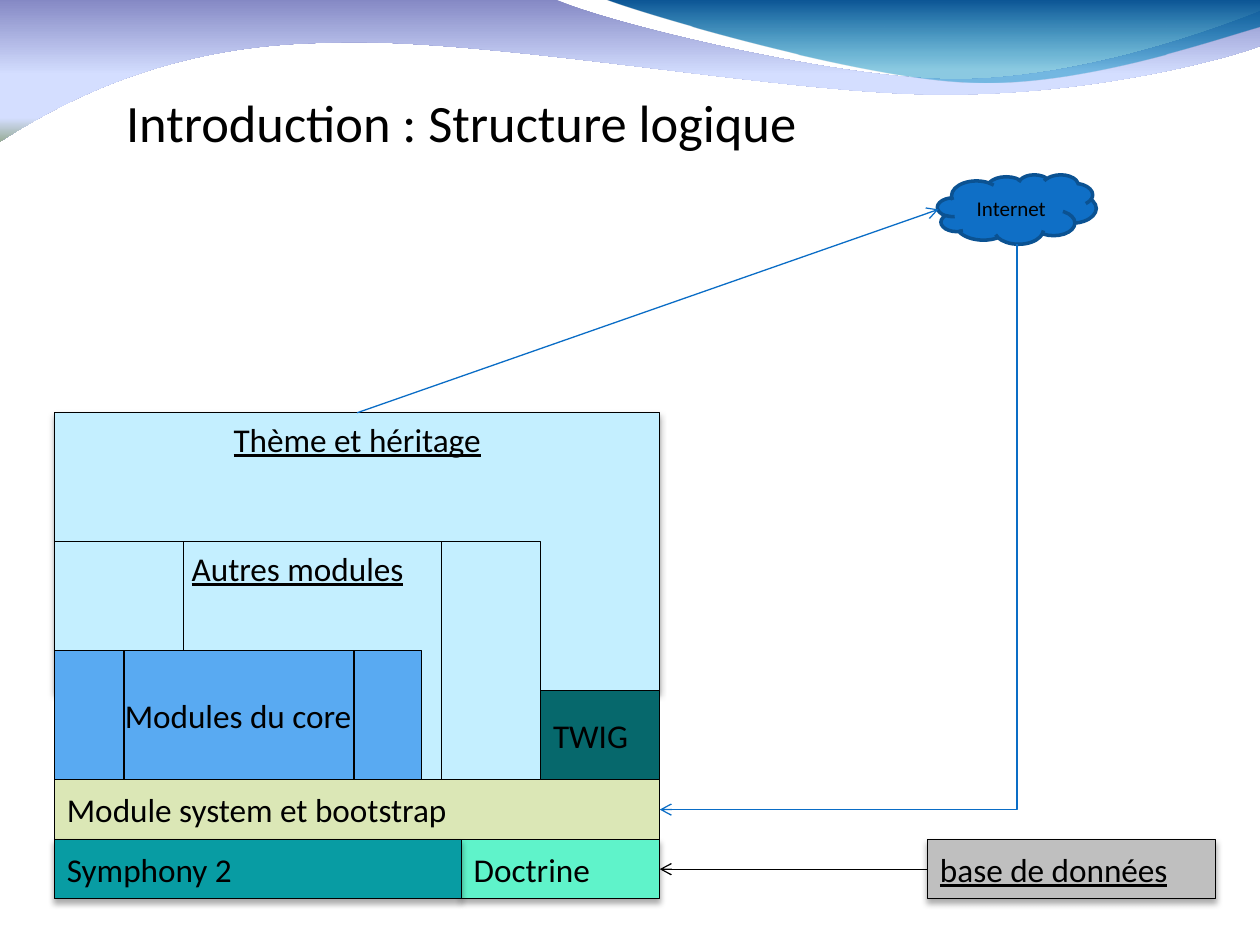
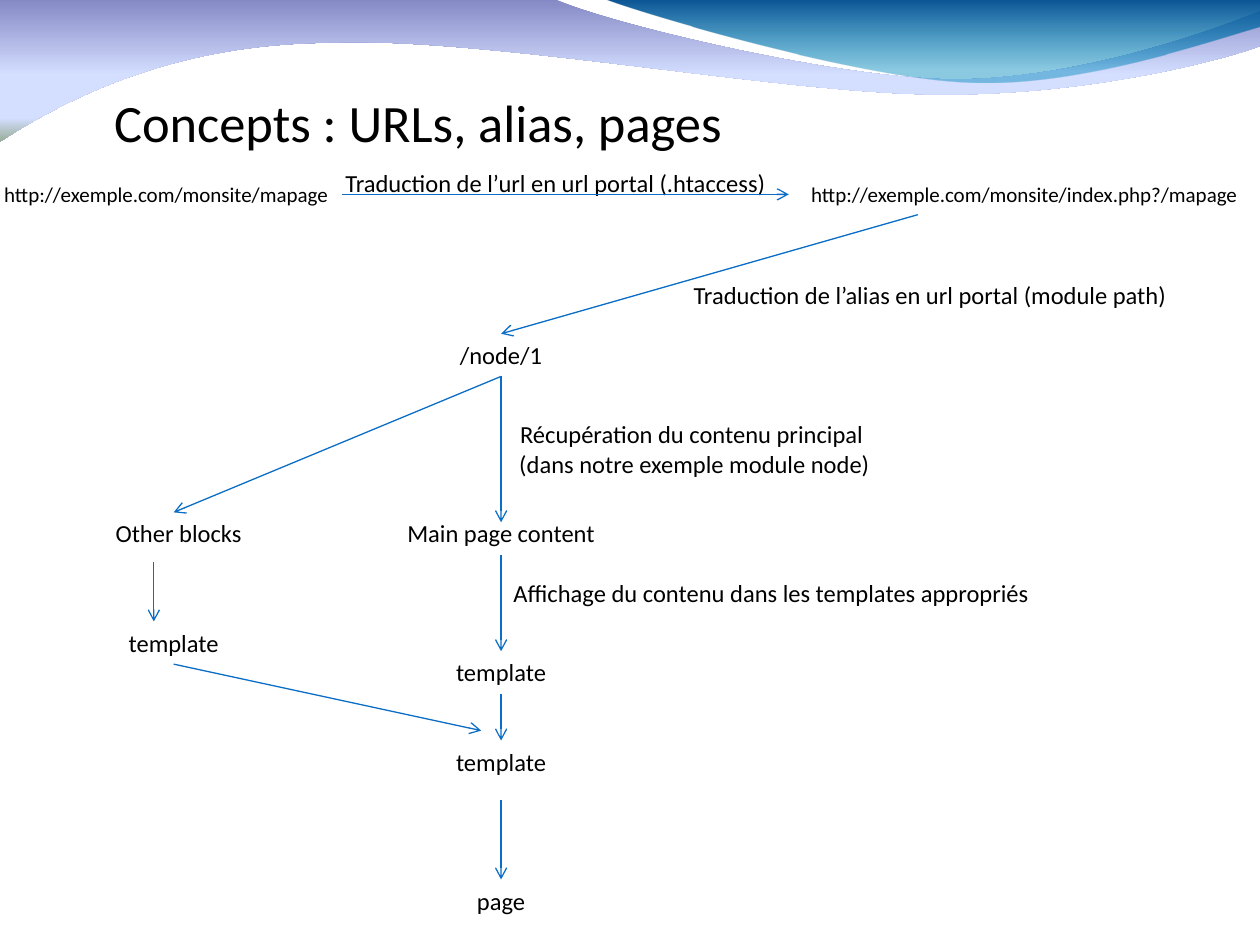
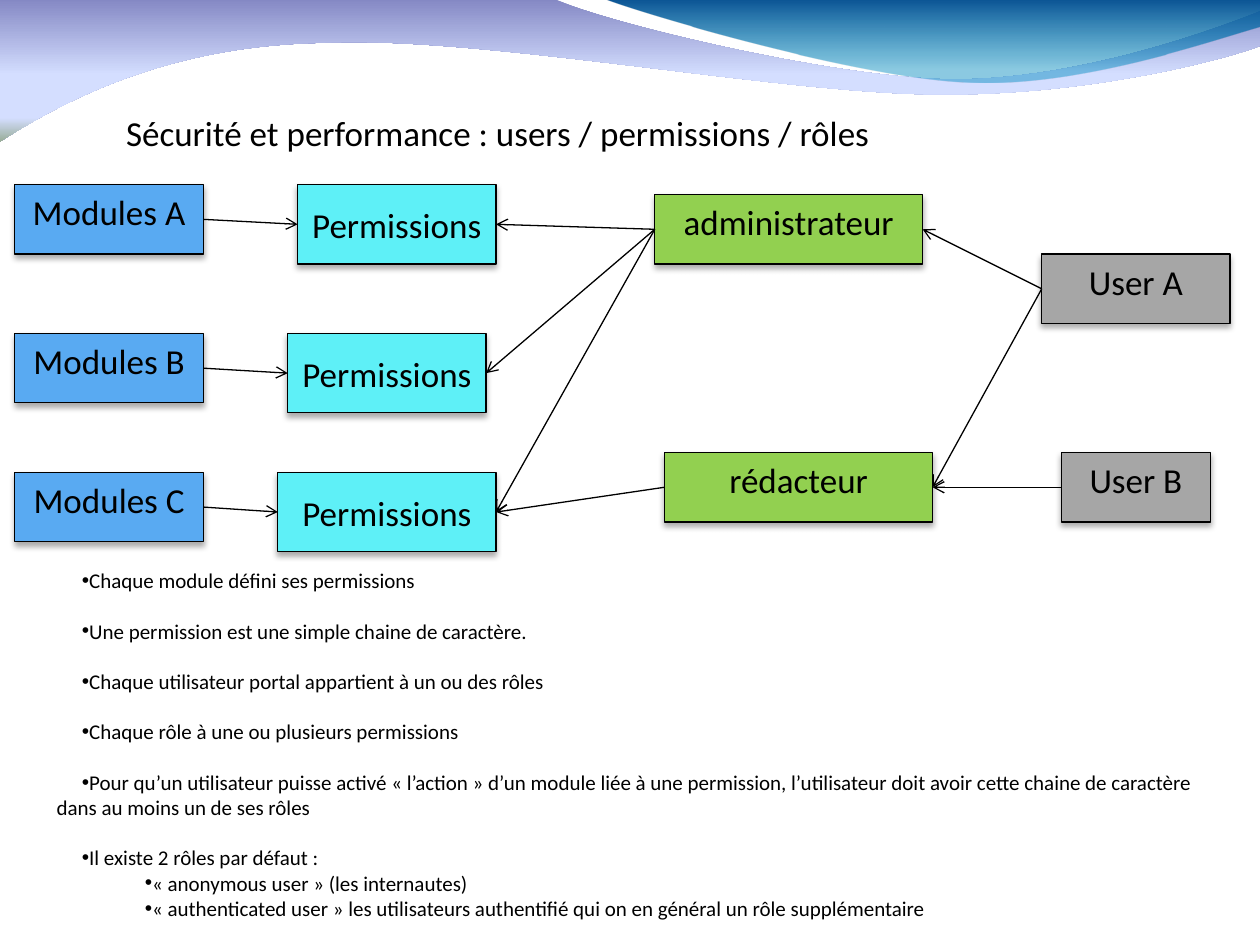
from dataclasses import dataclass
from lxml.etree import SubElement
from pptx import Presentation
from pptx.dml.color import RGBColor
from pptx.enum.shapes import MSO_CONNECTOR, MSO_SHAPE
from pptx.enum.text import MSO_ANCHOR, MSO_AUTO_SIZE, PP_ALIGN
from pptx.oxml.ns import qn
from pptx.util import Inches, Mm, Pt


@dataclass(frozen=True)
class Theme:
    """Colours, font and type sizes that the slides share."""
    font: str = "Calibri"
    ink: str = "000000"
    arrow: str = "0A6DC6"
    pale: str = "C4EFFF"
    core: str = "59AAF2"
    twig: str = "06686C"
    base: str = "DBE7B6"
    teal: str = "089CA3"
    mint: str = "5FF3CA"
    silver: str = "BFBFBF"
    cloud: str = "0F6FC6"
    rim: str = "0B5292"
    right: str = "5EF0F7"
    role: str = "92D050"
    user: str = "A6A6A6"
    head: int = 30
    box: int = 19
    node: int = 20
    text: int = 14
    small: int = 12


@dataclass(frozen=True)
class Grid:
    """A grid of square cells whose origin is given as shares of the slide."""
    left: float
    top: float

    def point(self, col, row):
        """Return the place of a grid point."""
        return (int(WIDE * self.left + CELL * col),
                int(HIGH * self.top + CELL * row))

    def spot(self, col, row, cols, rows):
        """Return left, top, width and height of a block of cells."""
        return *self.point(col, row), int(CELL * cols), int(CELL * rows)


THEME = Theme()
WIDE, HIGH, CELL = Inches(10), Inches(7.5), Mm(2)
LEFT, CENTER = PP_ALIGN.LEFT, PP_ALIGN.CENTER
TOP, MIDDLE = MSO_ANCHOR.TOP, MSO_ANCHOR.MIDDLE
NORTH, WEST, SOUTH, EAST = range(4)
WAVES = [
    ([(0, 0), (440, -1), (476, 17, 664, 63, 758, 63),
      (853, 63, 958, 26, 1000, 9), (1001, 36),
      (983, 44, 870, 76, 746, 75), (622, 75, 382, 28, 257, 34),
      (129, 36, 46, 83, -1, 113), (0, 0)],
     [(0, "8488C4", 100), (53, "D4DEFF", 100),
      (83, "D4DEFF", 100), (100, "96AB94", 100)]),
    ([(479, -1), (509, 11, 682, 62, 769, 65),
      (856, 69, 961, 32, 1000, 21), (1000, 0), (479, -1)],
     [(0, "0B5394", 100), (80, "008BBF", 45)]),
]


def rgb(code):
    """Turn a hex code into a colour."""
    return RGBColor.from_string(code)


def style(par, size, align=LEFT, under=False):
    """Format a paragraph."""
    par.alignment = align
    font = par.font
    font.name, font.size = THEME.font, Pt(size)
    font.color.rgb = rgb(THEME.ink)
    if under:
        font.underline = True


def outline(slide, parts):
    """Build an outline of lines (2 numbers) and cubic curves (6 numbers)."""
    dots = [part[k:k + 2] for part in parts for k in range(0, len(part), 2)]
    pen = slide.shapes.build_freeform(*dots[0], scale=WIDE / 1000)
    pen.add_line_segments(dots[1:], close=True)
    shape = pen.convert_to_shape()
    lines = iter(shape.element.spPr.findall(".//" + qn("a:lnTo")))
    for part in parts[1:]:
        first = next(lines)
        if len(part) == 6:
            first.tag = qn("a:cubicBezTo")
            for _ in range(2):
                line = next(lines)
                first.append(line[0])
                line.getparent().remove(line)
    return shape


def blend(shape, stops):
    """Fill a shape with a gradient that runs downwards."""
    shape.fill.gradient()
    shape.fill.gradient_angle = 270
    ramp = shape.element.spPr.find(".//" + qn("a:gsLst"))
    for stop in list(ramp):
        ramp.remove(stop)
    for pos, code, alpha in stops:
        stop = SubElement(ramp, qn("a:gs"), pos=str(pos * 1000))
        tint = SubElement(stop, qn("a:srgbClr"), val=code)
        SubElement(tint, qn("a:alpha"), val=str(alpha * 1000))


def waves(deck, slide):
    """Draw the waves of the top band and hand them to the master."""
    tree = deck.slide_master.element.cSld.spTree
    for n, (parts, stops) in enumerate(WAVES):
        wave = outline(slide, parts)
        wave.shadow.inherit = False
        wave.line.fill.background()
        blend(wave, stops)
        wave.element.nvSpPr.cNvPr.set("id", str(20 + n))
        tree.insert(2 + n, wave.element)


def title(slide, text, left=.1, size=THEME.head):
    """Place and format the title."""
    head = slide.shapes.title
    head.left, head.top = int(WIDE * left), int(HIGH * .0585)
    head.width, head.height = int(WIDE * .9), int(HIGH * .104)
    frame = head.text_frame
    frame.text = text
    frame.auto_size = MSO_AUTO_SIZE.NONE
    frame.vertical_anchor = MSO_ANCHOR.BOTTOM
    frame.margin_left = frame.margin_right = frame.margin_bottom = 0
    style(frame.paragraphs[0], size)


def shade(shape):
    """Give a shape a soft shadow below it."""
    drop = SubElement(shape.element.spPr.find(qn("a:effectLst")),
                      qn("a:outerShdw"), blurRad=str(Pt(3.5)),
                      dist=str(Pt(2.2)), dir="5400000", rotWithShape="0")
    tint = SubElement(drop, qn("a:srgbClr"), val=THEME.ink)
    SubElement(tint, qn("a:alpha"), val="32000")


def block(slide, spot, text, fill, size=THEME.box, align=LEFT, anchor=MIDDLE,
          under=False, shadow=False, kind=MSO_SHAPE.RECTANGLE):
    """Add a filled shape with a thin border and one line of text."""
    shape = slide.shapes.add_shape(kind, *spot)
    shape.shadow.inherit = False
    if shadow:
        shade(shape)
    shape.fill.solid()
    shape.fill.fore_color.rgb = rgb(fill)
    shape.line.color.rgb = rgb(THEME.ink)
    shape.line.width = Pt(.75)
    frame = shape.text_frame
    frame.text = text
    frame.word_wrap = True
    frame.vertical_anchor = anchor
    if align == CENTER:
        frame.margin_left = frame.margin_right = Inches(.05)
    style(frame.paragraphs[0], size, align, under)
    return shape


def label(slide, spot, text, size=THEME.text, align=CENTER):
    """Add a plain text."""
    box = slide.shapes.add_textbox(*spot)
    frame = box.text_frame
    frame.word_wrap = True
    frame.text = text
    style(frame.paragraphs[0], size, align)
    return box


def ink(line, color, arrow):
    """Format a connector."""
    line.line.color.rgb = rgb(color)
    line.line.width = Pt(.75)
    props = line.element.spPr
    if arrow:
        SubElement(props.find(qn("a:ln")), qn("a:tailEnd"), type="arrow")
    SubElement(props, qn("a:effectLst"))


def link(slide, grid, start, end, color=THEME.ink, arrow=True):
    """Join two ends, each a grid point or a shape with its side."""
    free = [isinstance(e[0], (int, float)) for e in (start, end)]
    spots = [grid.point(*e) if f else (0, 0)
             for e, f in zip((start, end), free)]
    line = slide.shapes.add_connector(
        MSO_CONNECTOR.STRAIGHT, *spots[0], *spots[1])
    if not free[0]:
        line.begin_connect(*start)
    if not free[1]:
        line.end_connect(*end)
    ink(line, color, arrow)


def elbow(slide, start, end, color):
    """Draw an arrow that goes down, then turns left."""
    (x1, y1), (x2, y2) = start, end
    wide, high = y2 - y1, x1 - x2
    left, top = (x1 + x2 - wide) // 2, (y1 + y2 - high) // 2
    line = slide.shapes.add_connector(
        MSO_CONNECTOR.ELBOW, left, top, left + wide, top + high)
    props = line.element.spPr
    props.find(qn("a:prstGeom")).set("prst", "bentConnector2")
    props.find(qn("a:xfrm")).set("rot", "5400000")
    ink(line, color, True)


def stack(slide, grid):
    """Draw the layers of the system and return those that get arrows."""
    def layer(spot, *args, **opts):
        return block(slide, grid.spot(*spot), *args, **opts)

    skin = layer((0, 0, 61, 28), "Thème et héritage", THEME.pale,
                 align=CENTER, anchor=TOP, under=True, shadow=True)
    layer((0, 13, 49, 24), "Autres modules", THEME.pale,
          align=CENTER, anchor=TOP, under=True)
    layer((0, 24, 37, 13), "Modules du core", THEME.core, align=CENTER)
    store = layer((41, 43, 20, 6), "Doctrine", THEME.mint, shadow=True)
    layer((0, 37, 61, 6), "Module system et bootstrap", THEME.base)
    layer((0, 43, 41, 6), "Symphony 2", THEME.teal, shadow=True)
    layer((49, 28, 12, 9), "TWIG", THEME.twig)
    for col, top, end in ((7, 24, 37), (30.2, 24, 37),
                          (13, 13, 24), (39, 13, 37)):
        link(slide, grid, (col, top), (col, end), arrow=False)
    return skin, store


def feeds(slide, grid, skin, store):
    """Draw the cloud and the data base with their arrows."""
    data = block(slide, grid.spot(88, 43, 29, 6), "base de données",
                 THEME.silver, under=True, shadow=True)
    cloud = block(slide, grid.spot(89, -24, 16, 7), "Internet", THEME.cloud,
                  THEME.small, CENTER, kind=MSO_SHAPE.CLOUD)
    cloud.line.color.rgb = rgb(THEME.rim)
    cloud.line.width = Pt(2)
    link(slide, grid, (skin, NORTH), (89.1, -20.5), THEME.arrow)
    link(slide, grid, (data, WEST), (store, EAST))
    elbow(slide, grid.point(97, -17), grid.point(61, 40), THEME.arrow)


def flow(slide, grid):
    """Draw the path from the address to the page."""
    def note(col, row, cols, text, rows=4.3, **opts):
        return label(slide, grid.spot(col, row, cols, rows), text, **opts)

    small = {"rows": 3.9, "size": THEME.small}
    node = note(32, 16, 36, "/node/1")
    short = note(-1.5, 0, 35.5, "http://exemple.com/monsite/mapage", **small)
    full = note(79, 0, 47.5, "http://exemple.com/monsite/index.php?/mapage",
                **small)
    main = note(32, 34, 36, "Main page content")
    note(-.5, 34, 36, "Other blocks")
    side = note(9, 45, 16, "template")
    inner = note(42, 48, 16, "template")
    outer = note(42, 57, 16, "template")
    page = note(44, 71, 12, "page")
    note(32, -1.3, 47, "Traduction de l’url en url portal (.htaccess)")
    note(67, 10, 52.5, "Traduction de l’alias en url portal (module path)")
    note(48, 24, 43, "Récupération du contenu principal \v"
         "(dans notre exemple module node)", rows=7.2)
    note(50, 40, 76.5, "Affichage du contenu dans les templates appropriés",
         align=LEFT)
    for start, end in (
            ((short, EAST), (full, WEST)), ((92, 4), (node, NORTH)),
            ((node, SOUTH), (50, 35)), ((node, SOUTH), (17, 34)),
            ((main, SOUTH), (inner, NORTH)), ((15, 39), (15, 45)),
            ((side, SOUTH), (48, 56)), ((inner, SOUTH), (outer, NORTH)),
            ((50, 63), (page, NORTH))):
        link(slide, grid, start, end, THEME.arrow)


def rights(slide, grid):
    """Draw modules, permissions, roles and users with their arrows."""
    def node(spot, text, fill, anchor=TOP):
        return block(slide, grid.spot(*spot), text, fill, THEME.node,
                     CENTER, anchor, shadow=True)

    perms = []
    for name, row, col, cols in (("A", 0, 30, 20), ("B", 15, 29, 20),
                                 ("C", 29, 28, 22)):
        mod = node((1.5, row, 19, 7), f"Modules {name}", THEME.core)
        perm = node((col, row, cols, 8), "Permissions", THEME.right, MIDDLE)
        link(slide, grid, (mod, EAST), (perm, WEST))
        perms.append(perm)
    admin = node((66, 1, 27, 7), "administrateur", THEME.role)
    editor = node((67, 27, 27, 7), "rédacteur", THEME.role)
    one = node((105, 7, 19, 7), "User A", THEME.user)
    two = node((107, 27, 15, 7), "User B", THEME.user)
    pairs = [(one, admin), (one, editor), (two, editor),
             *((admin, perm) for perm in perms), (editor, perms[-1])]
    for start, end in pairs:
        link(slide, grid, (start, WEST), (end, EAST))


def points(slide, items):
    """Fill the body with a list of (level, text)."""
    body = slide.placeholders[1]
    body.left, body.top = int(WIDE * .035), int(HIGH * .594)
    body.width, body.height = int(WIDE * .945), int(HIGH * .404)
    frame = body.text_frame
    frame.auto_size = MSO_AUTO_SIZE.NONE
    frame.text = "\n".join(text for _, text in items)
    for n, (par, (level, _)) in enumerate(zip(frame.paragraphs, items)):
        par.level = level
        style(par, THEME.small)
        par.space_before = Pt(14.4 if n and not level else 0)
        props = par._p.get_or_add_pPr()
        props.set("marL", str(Inches(.5 * level)))
        props.set("indent", str(Inches(.2)))
        mark = props.makeelement(qn("a:buChar"), {"char": "•"})
        props.find(qn("a:defRPr")).addprevious(mark)


def main():
    """Build the three slides."""
    deck = Presentation()
    deck.slide_width, deck.slide_height = WIDE, HIGH
    bare, full = deck.slide_layouts[5], deck.slide_layouts[1]

    slide = deck.slides.add_slide(bare)
    waves(deck, slide)
    title(slide, "Introduction : Structure logique")
    grid = Grid(.0433, .4368)
    feeds(slide, grid, *stack(slide, grid))

    slide = deck.slides.add_slide(bare)
    title(slide, "Concepts : URLs, alias, pages", left=.0905)
    flow(slide, Grid(.004, .1852))

    slide = deck.slides.add_slide(full)
    title(slide, "Sécurité et performance : users / permissions / rôles",
          size=THEME.node)
    rights(slide, Grid(0, .1954))
    points(slide, [
        (0, "Chaque module défini ses permissions"),
        (0, "Une permission est une simple chaine de caractère."),
        (0, "Chaque utilisateur portal appartient à un ou des rôles"),
        (0, "Chaque rôle à une ou plusieurs permissions"),
        (0, "Pour qu’un utilisateur puisse activé « l’action » d’un module "
            "liée à une permission, l’utilisateur doit avoir cette chaine "
            "de caractère dans au moins un de ses rôles"),
        (0, "Il existe 2 rôles par défaut :"),
        (1, "« anonymous user » (les internautes)"),
        (1, "« authenticated user » les utilisateurs authentifié qui on en "
            "général un rôle supplémentaire"),
    ])
    deck.save("out.pptx")


if __name__ == "__main__":
    main()
